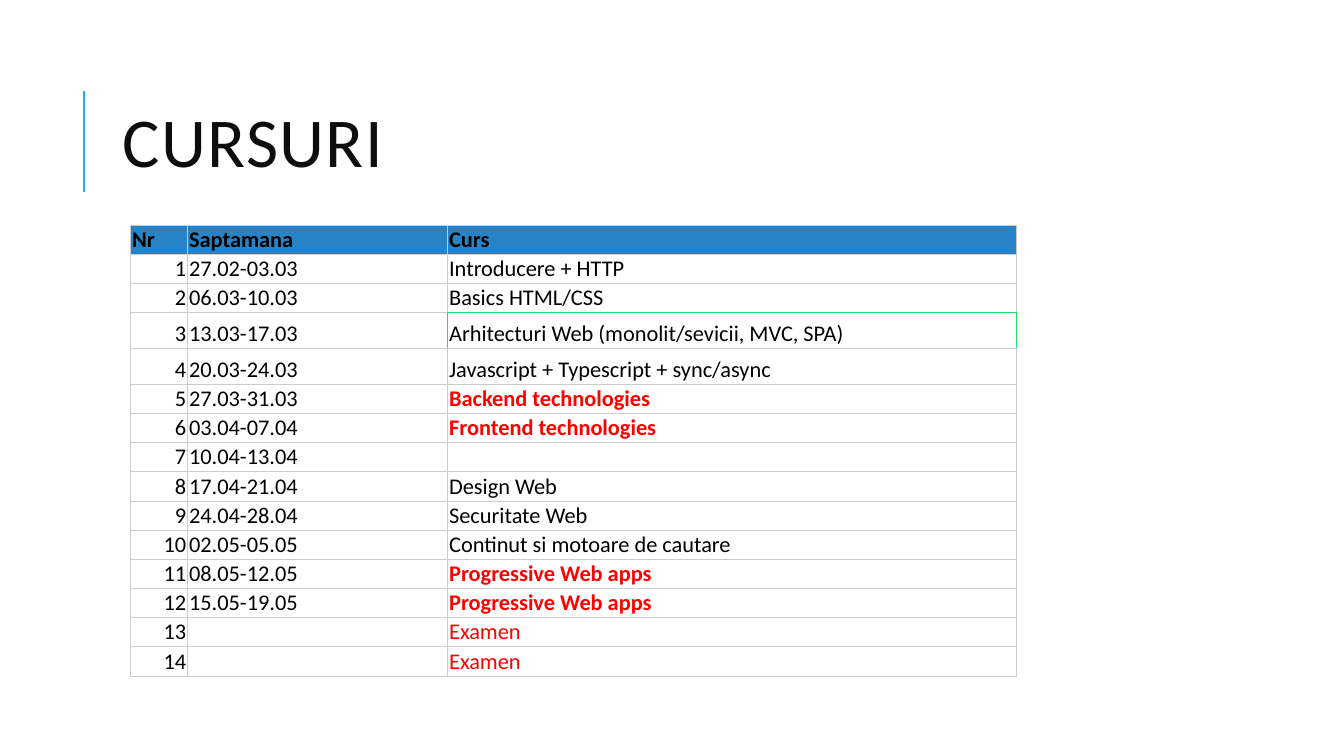
from dataclasses import dataclass

from lxml import etree
from pptx import Presentation
from pptx.dml.color import RGBColor
from pptx.enum.shapes import MSO_CONNECTOR
from pptx.enum.text import MSO_ANCHOR, PP_ALIGN
from pptx.oxml.ns import qn
from pptx.util import Pt

LINE = MSO_CONNECTOR.STRAIGHT
MIDDLE, BOTTOM = MSO_ANCHOR.MIDDLE, MSO_ANCHOR.BOTTOM
LEFT, RIGHT = PP_ALIGN.LEFT, PP_ALIGN.RIGHT


@dataclass(frozen=True)
class Theme:
    font: str = "Calibri"
    title: float = 50
    body: float = 16
    ink: str = "0D0D0D"
    text: str = "000000"
    alert: str = "FF0000"
    accent: str = "1CADE4"
    head: str = "2683C6"
    grid: str = "CCCCCC"
    mark: str = "20E263"


THEME = Theme()

HEADS = ("Nr", "Saptamana", "Curs")
# Week, course, style of the course name
PLAIN, BOLD, RED = (THEME.text, False), (THEME.alert, True), (THEME.alert, False)
COURSES = [
    ("27.02-03.03", "Introducere + HTTP", PLAIN),
    ("06.03-10.03", "Basics HTML/CSS", PLAIN),
    ("13.03-17.03", "Arhitecturi Web (monolit/sevicii, MVC, SPA)", PLAIN),
    ("20.03-24.03", "Javascript + Typescript + sync/async", PLAIN),
    ("27.03-31.03", "Backend technologies", BOLD),
    ("03.04-07.04", "Frontend technologies", BOLD),
    ("10.04-13.04", "", PLAIN),
    ("17.04-21.04", "Design Web", PLAIN),
    ("24.04-28.04", "Securitate Web", PLAIN),
    ("02.05-05.05", "Continut si motoare de cautare", PLAIN),
    ("08.05-12.05", "Progressive Web apps", BOLD),
    ("15.05-19.05", "Progressive Web apps", BOLD),
    ("", "Examen", RED),
    ("", "Examen", RED),
]
COLS = (40.6, 185.8, 406.6)
ROW, TALL = 20.84, 25.6
TALL_ROWS = (3, 4)
# Sides drawn in the mark colour, by row and column
MARKED = {(2, 2): "B", (3, 1): "R", (3, 2): "LTR"}


def apply(item, form):
    for name, value in form.items():
        setattr(item, name, value)


def style(font, size, color, bold=False):
    apply(font, {"name": THEME.font, "size": Pt(size), "bold": bold})
    font.color.rgb = RGBColor.from_string(color)


def margins(side, top):
    return {"margin_left": Pt(side), "margin_right": Pt(side),
            "margin_top": Pt(top), "margin_bottom": Pt(top)}


def add_title(slide, x, y, w, h, text):
    # Accent rule left of the title
    rule = slide.shapes.add_connector(
        LINE, Pt(x - 20.8), Pt(y + 18.9), Pt(x - 20.8), Pt(y + 90.9))
    rule.line.width = Pt(1.5)
    rule.line.color.rgb = RGBColor.from_string(THEME.accent)
    etree.SubElement(rule._element.spPr, qn("a:effectLst"))
    # Title text
    frame = slide.shapes.add_textbox(Pt(x), Pt(y), Pt(w), Pt(h)).text_frame
    apply(frame, {"word_wrap": True, "vertical_anchor": MIDDLE, **margins(7.2, 3.6)})
    para = frame.paragraphs[0]
    para.line_spacing = 0.8
    run = para.add_run()
    run.text = text
    style(run.font, THEME.title, THEME.ink)
    run.font._element.set("spc", "100")


def add_edges(cell, marked):
    props = cell._tc.get_or_add_tcPr()
    for side in "LRTB":
        edge = etree.SubElement(props, qn(f"a:ln{side}"), w=str(Pt(0.75)))
        fill = etree.SubElement(edge, qn("a:solidFill"))
        color = THEME.mark if side in marked else THEME.grid
        etree.SubElement(fill, qn("a:srgbClr"), val=color)


def fill_cell(cell, text, look, align, back, marked):
    apply(cell, {"vertical_anchor": BOTTOM, **margins(1.05, 0.72)})
    add_edges(cell, marked)
    if back:
        cell.fill.solid()
        cell.fill.fore_color.rgb = RGBColor.from_string(back)
    else:
        cell.fill.background()
    para = cell.text_frame.paragraphs[0]
    para.alignment = align
    if text:
        run = para.add_run()
        run.text = text
        style(run.font, THEME.body, *look)
    else:
        # Keeps the height of an empty cell
        etree.SubElement(para._p, qn("a:endParaRPr"), sz=str(THEME.body * 100))


def add_plan(slide, x, y):
    count = len(COURSES) + 1
    highs = [TALL if row in TALL_ROWS else ROW for row in range(count)]
    table = slide.shapes.add_table(
        count, len(COLS), Pt(x), Pt(y), Pt(sum(COLS)), Pt(sum(highs))).table
    apply(table, {"first_row": False, "horz_banding": False})
    for col, width in zip(table.columns, COLS):
        col.width = Pt(width)
    for row, high in zip(table.rows, highs):
        row.height = Pt(high)
    # Header row, then numbered courses
    lines = [[(head, (THEME.text, True)) for head in HEADS]]
    for num, (week, name, look) in enumerate(COURSES, 1):
        lines.append([(str(num), PLAIN), (week, PLAIN), (name, look)])
    for r, line in enumerate(lines):
        for c, (text, look) in enumerate(line):
            align = RIGHT if r and c == 0 else LEFT
            back = None if r else THEME.head
            fill_cell(table.cell(r, c), text, look, align, back, MARKED.get((r, c), ""))


def main():
    deck = Presentation()
    apply(deck, {"slide_width": Pt(960), "slide_height": Pt(540)})
    slide = deck.slides.add_slide(deck.slide_layouts[6])
    add_title(slide, 80.6, 46.1, 765.4, 118.1, "CURSURI")
    add_plan(slide, 93.4, 160.8)
    deck.save("out.pptx")


if __name__ == "__main__":
    main()
